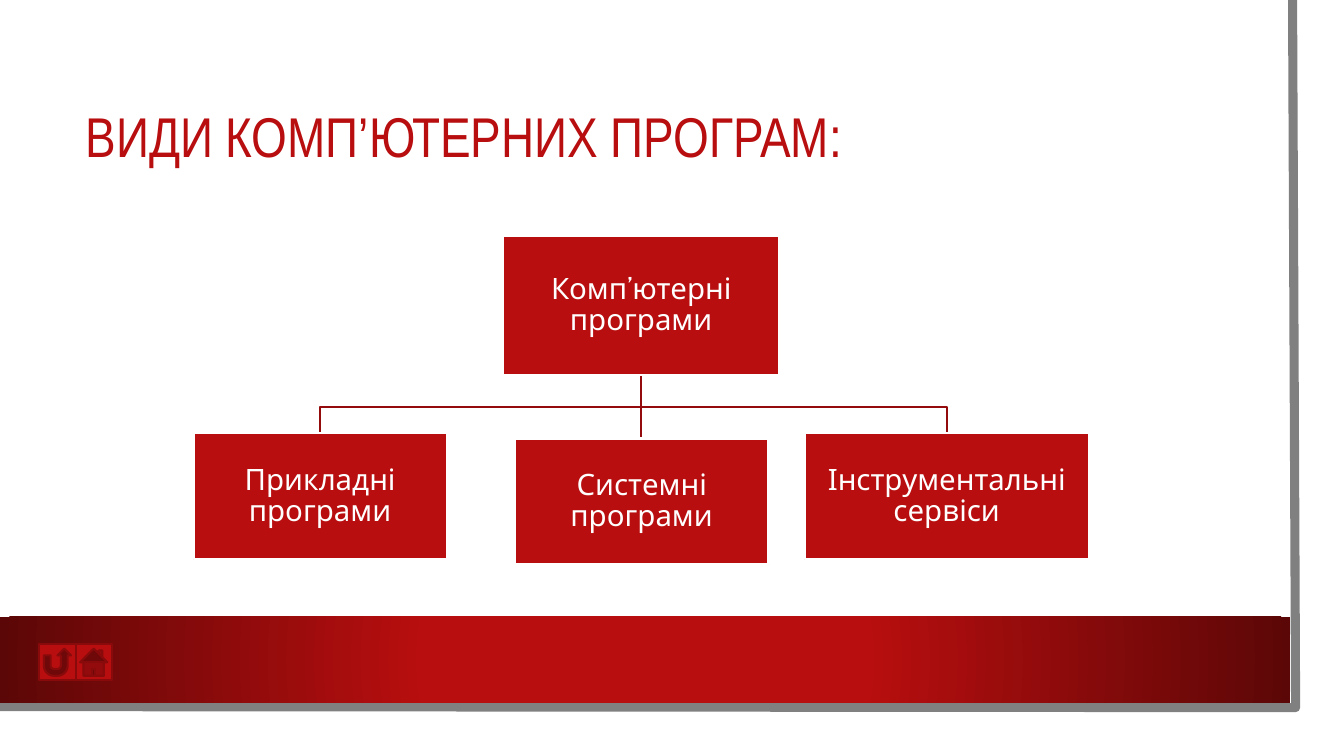
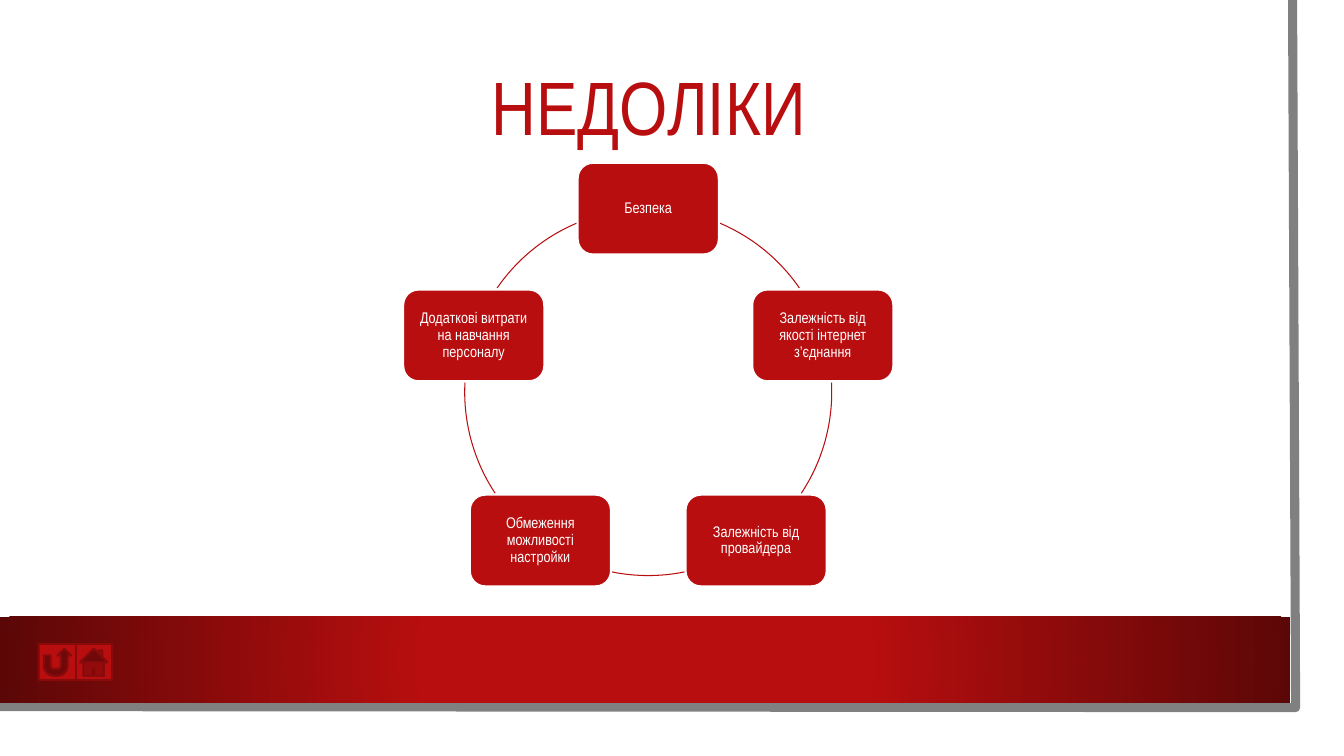
from math import cos, radians, sin

from pptx import Presentation
from pptx.dml.color import RGBColor
from pptx.enum.shapes import MSO_CONNECTOR, MSO_SHAPE
from pptx.enum.text import MSO_ANCHOR, PP_ALIGN
from pptx.oxml import parse_xml
from pptx.oxml.ns import nsdecls, qn
from pptx.util import Inches, Pt

RECTANGLE = MSO_SHAPE.RECTANGLE
ROUNDED = MSO_SHAPE.ROUNDED_RECTANGLE
ARC = MSO_SHAPE.ARC
BUTTONS = (MSO_SHAPE.ACTION_BUTTON_RETURN, MSO_SHAPE.ACTION_BUTTON_HOME)
STRAIGHT = MSO_CONNECTOR.STRAIGHT
MIDDLE = MSO_ANCHOR.MIDDLE
LEFT, CENTER = PP_ALIGN.LEFT, PP_ALIGN.CENTER

RED = RGBColor(0xB8, 0x0E, 0x0F)
DARK_RED = RGBColor(0x5C, 0x07, 0x07)
BRANCH_RED = RGBColor(0x93, 0x0B, 0x0C)
BUTTON_EDGE = RGBColor(0x88, 0x0A, 0x0B)
GRAY = RGBColor(0x80, 0x80, 0x80)
WHITE = RGBColor(0xFF, 0xFF, 0xFF)

NARROW, ROUND_FONT = "Arial Narrow", "Cabin"

# Tree: each box is left, top, width, height
TREE_ROOT = ("Комп’ютерні програми", (4.99, 2.34, 2.74, 1.38))
TREE_LEAVES = (
    ("Прикладні програми", (1.92, 4.3, 2.51, 1.25)),
    ("Системні програми", (5.11, 4.35, 2.51, 1.25)),
    ("Інструментальні сервіси", (7.98, 4.3, 2.82, 1.25)),
)
ELBOW_DROP = 0.32

# Ring: cards run clockwise from the top, arcs are start and end degrees
RING_BOX = (4.61, 2.07, 3.64, 3.64)
CARD_WIDTH, CARD_HEIGHT = 1.4, 0.91
RING_CARDS = (
    "Безпека",
    "Залежність від якості інтернет з’єднання",
    "Залежність від провайдера",
    "Обмеження можливості настройки",
    "Додаткові витрати на навчання персоналу",
)
RING_ARCS = ((293, 325.5), (357, 33.5), (78.5, 101.5), (146.5, 183), (214.5, 247))


def lengths(values):
    return [Inches(value) for value in values]


def set_line(shape, color, width):
    shape.line.color.rgb = color
    shape.line.width = Pt(width)


def add_block(page, kind, box, fill=None, line=None, width=1.5):
    """Add a preset shape without shadow; no fill or line unless given."""
    shape = page.shapes.add_shape(kind, *lengths(box))
    shape.shadow.inherit = False
    if fill is None:
        shape.fill.background()
    else:
        shape.fill.solid()
        shape.fill.fore_color.rgb = fill
    if line is None:
        shape.line.fill.background()
    else:
        set_line(shape, line, width)
    return shape


def add_polyline(page, points, color, width):
    start, *others = [lengths(point) for point in points]
    builder = page.shapes.build_freeform(*start)
    builder.add_line_segments(others, close=False)
    shape = builder.convert_to_shape()
    shape.shadow.inherit = False
    shape.fill.background()
    set_line(shape, color, width)


def write(shape, text, font, size, color, align=CENTER, inset=None):
    frame = shape.text_frame
    frame.word_wrap = True
    frame.vertical_anchor = MIDDLE
    if inset is not None:
        for side in ("left", "right", "top", "bottom"):
            setattr(frame, f"margin_{side}", Inches(inset))
    para = frame.paragraphs[0]
    para.alignment = align
    para.line_spacing = 0.9
    span = para.add_run()
    span.text = text
    for name, value in {"name": font, "size": Pt(size)}.items():
        setattr(span.font, name, value)
    span.font.color.rgb = color


def add_band(page, box):
    """Bottom band, bright in the middle and dark at both ends."""
    band = add_block(page, RECTANGLE, box)
    band.fill.gradient()
    stops = ((0.34, RED), (1, DARK_RED))
    for stop, (position, color) in zip(band.fill.gradient_stops, stops):
        stop.position = position
        stop.color.rgb = color
    gradient = band.element.spPr.find(qn("a:gradFill"))
    gradient.replace(gradient.find(qn("a:lin")), parse_xml(
        f'<a:path {nsdecls("a")} path="circle">'
        '<a:fillToRect l="50000" t="50000" r="50000" b="50000"/></a:path>'))


def add_page(deck, title, title_top, size, align):
    """Page with the shared frame edge, band and title."""
    page = deck.slides.add_slide(deck.slide_layouts[6])
    add_polyline(page, ((12.82, 0), (12.85, 7.02), (0, 7.01)), GRAY, 6.5)
    add_band(page, (0, 6.12, 12.8, 0.85))
    heading = page.shapes.add_textbox(*lengths((0.75, title_top, 11.37, 1.26)))
    write(heading, title, NARROW, size, RED, align)
    return page


def add_buttons(page, left, top, side=0.36):
    for index, kind in enumerate(BUTTONS):
        box = (left + index * side, top, side, side)
        add_block(page, kind, box, RED, BUTTON_EDGE)


def add_tree(page, root, leaves):
    left, top, width, height = root[1]
    root_x, root_bottom = left + width / 2, top + height
    elbow_y = root_bottom + ELBOW_DROP

    # Branches
    for _, (left, top, width, _) in leaves:
        leaf_x = left + width / 2
        if abs(leaf_x - root_x) < 0.05:
            trunk = page.shapes.add_connector(
                STRAIGHT, *lengths((root_x, root_bottom, root_x, top)))
            set_line(trunk, BRANCH_RED, 1.5)
            trunk.element.spPr.append(
                parse_xml(f'<a:effectLst {nsdecls("a")}/>'))
        else:
            add_polyline(page, ((root_x, root_bottom), (root_x, elbow_y),
                                (leaf_x, elbow_y), (leaf_x, top)),
                         BRANCH_RED, 1.5)

    # Boxes
    for text, box in (root, *leaves):
        block = add_block(page, RECTANGLE, box, RED, WHITE)
        write(block, text, ROUND_FONT, 21, WHITE, inset=0.01)


def add_ring(page, box, cards, arcs):
    left, top, diameter, _ = box
    radius = diameter / 2

    # Arcs between the cards
    for angles in arcs:
        arc = add_block(page, ARC, box, line=RED, width=0.75)
        for index, angle in enumerate(angles):
            arc.adjustments[index] = angle * 0.6

    # Cards spaced evenly on the circle
    for index, text in enumerate(cards):
        angle = radians(360 * index / len(cards) - 90)
        card_left = left + radius * (1 + cos(angle)) - CARD_WIDTH / 2
        card_top = top + radius * (1 + sin(angle)) - CARD_HEIGHT / 2
        card = add_block(page, ROUNDED,
                         (card_left, card_top, CARD_WIDTH, CARD_HEIGHT),
                         RED, WHITE)
        write(card, text, NARROW, 11, WHITE, inset=0.05)


def main():
    deck = Presentation()
    deck.slide_width, deck.slide_height = lengths((13.33, 7.5))

    kinds_page = add_page(deck, "ВИДИ КОМП’ЮТЕРНИХ ПРОГРАМ:", 0.75, 40, LEFT)
    add_tree(kinds_page, TREE_ROOT, TREE_LEAVES)

    drawbacks_page = add_page(deck, "НЕДОЛІКИ", 0.47, 54, CENTER)
    add_ring(drawbacks_page, RING_BOX, RING_CARDS, RING_ARCS)

    for page in deck.slides:
        add_buttons(page, 0.39, 6.39)
    deck.save("out.pptx")


if __name__ == "__main__":
    main()
